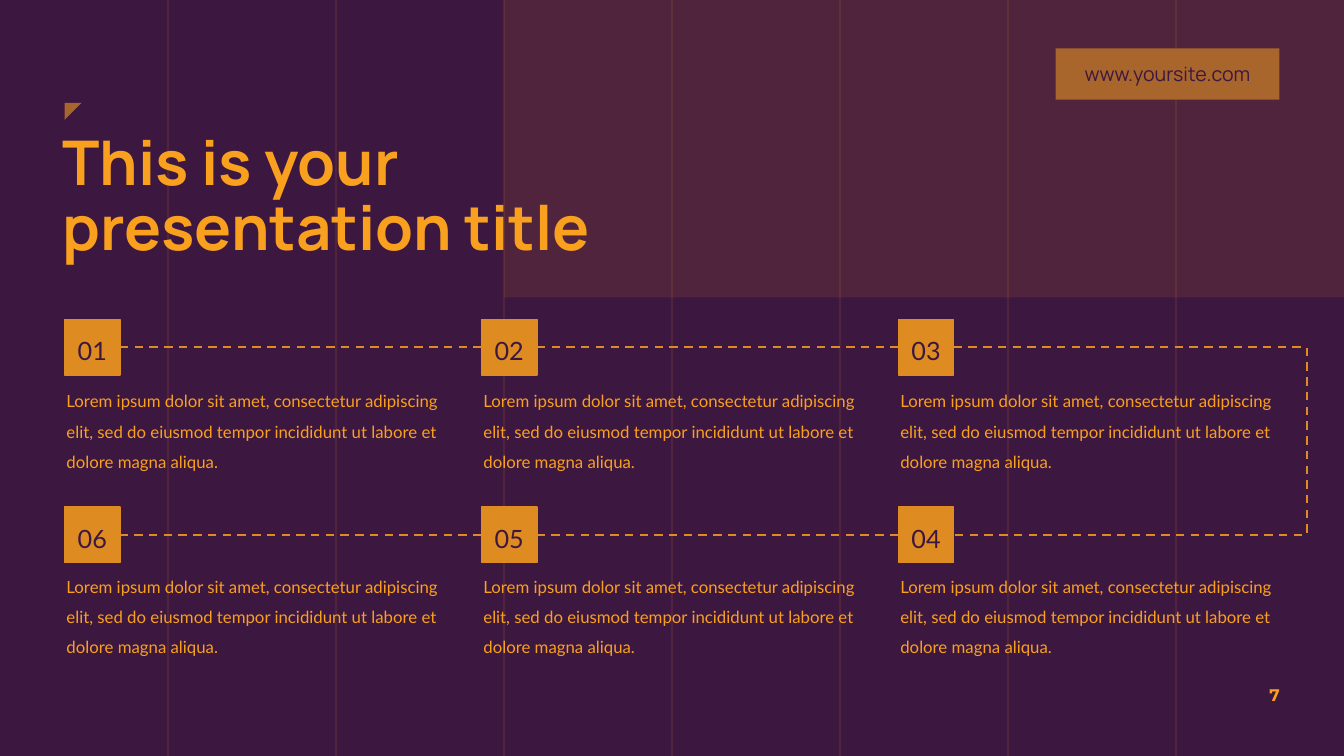
from lxml.etree import SubElement
from pptx import Presentation
from pptx.dml.color import RGBColor
from pptx.enum.dml import MSO_LINE
from pptx.enum.shapes import MSO_CONNECTOR, MSO_SHAPE
from pptx.enum.text import MSO_ANCHOR, MSO_AUTO_SIZE, PP_ALIGN
from pptx.oxml.ns import qn
from pptx.util import Inches, Pt

# Content
TITLE = "This is your presentation title"
SITE = "www.yoursite.com"
PAGE = "7"
LOREM = ("Lorem ipsum dolor sit amet, consectetur adipiscing elit, sed do "
         "eiusmod tempor incididunt ut labore et dolore magna aliqua.")
# Step number, column, row, description
STEPS = [
    ("01", 0, 0, LOREM), ("02", 1, 0, LOREM), ("03", 2, 0, LOREM),
    ("04", 2, 1, LOREM), ("05", 1, 1, LOREM), ("06", 0, 1, LOREM),
]

# Colours and layout
PURPLE, ORANGE, AMBER, BROWN = "3C1740", "F9A01E", "DE8C22", "A8652C"
WIDTH, HEIGHT = 13.33, 7.5
LEFT, COLUMN_PITCH = 0.64, 4.135
BADGE_TOPS, DESCRIPTION_TOPS = (3.17, 5.03), (3.78, 5.62)
BADGE = 0.55
TURN_X = 12.96
GRID_COLUMNS = 8

BODY = {"size": Pt(12), "name": "Lato"}
NUMBER = {"size": Pt(18), "name": "Lato"}
HEADING = {"size": Pt(44), "name": "Manrope", "bold": True}
LINK = {"size": Pt(14), "name": "Manrope"}
FOLIO = {"size": Pt(12), "name": "Montserrat", "bold": True}


def paint(color_format, color):
    color_format.rgb = RGBColor.from_string(color)


def fade(properties, percent):
    color = next(properties.iter(qn("a:srgbClr")))
    SubElement(color, qn("a:alpha"), val=str(percent * 1000))


def write(shape, text, font, color, align=PP_ALIGN.LEFT, spacing=1.0,
          anchor=MSO_ANCHOR.TOP, insets=(0.1, 0.05, 0.1, 0.05)):
    frame = shape.text_frame
    frame.word_wrap = True
    frame.auto_size = MSO_AUTO_SIZE.NONE
    frame.vertical_anchor = anchor
    for side, inset in zip(("left", "top", "right", "bottom"), insets):
        setattr(frame, f"margin_{side}", Inches(inset))
    frame.text = text
    paragraph = frame.paragraphs[0]
    paragraph.alignment = align
    paragraph.line_spacing = spacing
    for key, value in font.items():
        setattr(paragraph.font, key, value)
    paint(paragraph.font.color, color)


def add_block(kind, left, top, width, height, fill, outline=None):
    block = slide.shapes.add_shape(kind, *map(Inches, (left, top, width, height)))
    block.shadow.inherit = False
    block.fill.solid()
    paint(block.fill.fore_color, fill)
    if outline:
        block.line.width = Pt(1)
        paint(block.line.color, outline)
    else:
        block.line.fill.background()
    return block


def add_text(left, top, width, height, *args, **options):
    box = slide.shapes.add_textbox(*map(Inches, (left, top, width, height)))
    write(box, *args, **options)


def add_line(x1, y1, x2, y2, color):
    line = slide.shapes.add_connector(
        MSO_CONNECTOR.STRAIGHT, *map(Inches, (x1, y1, x2, y2)))
    SubElement(line._element.spPr, qn("a:effectLst"))
    line.line.width = Pt(1.5)
    paint(line.line.color, color)
    return line


deck = Presentation()
deck.slide_width, deck.slide_height = Inches(WIDTH), Inches(HEIGHT)
slide = deck.slides.add_slide(deck.slide_layouts[5])
slide.background.fill.solid()
paint(slide.background.fill.fore_color, PURPLE)

# Backdrop: tinted panel, vertical grid, corner mark
panel = add_block(MSO_SHAPE.RECTANGLE, 5, 0, WIDTH - 5, 2.95, ORANGE)
fade(panel._element.spPr, 10)
for column in range(1, GRID_COLUMNS):
    x = column * WIDTH / GRID_COLUMNS
    grid_line = add_line(x, 0, x, HEIGHT, ORANGE)
    fade(grid_line._element.spPr, 10)
corner = add_block(MSO_SHAPE.RIGHT_TRIANGLE, LEFT, 1.02, 0.17, 0.17, BROWN)
corner.rotation = 90

# Title
title = slide.shapes.title
title.left, title.top = Inches(0.52), Inches(1.27)
title.width, title.height = Inches(7.27), Inches(1.58)
write(title, TITLE, HEADING, ORANGE, spacing=0.88)

# Steps: numbered badge above its description
badges = []
for number, column, row, description in STEPS:
    x = LEFT + column * COLUMN_PITCH
    badge = add_block(MSO_SHAPE.RECTANGLE, x, BADGE_TOPS[row], BADGE, BADGE,
                      AMBER, AMBER)
    write(badge, number, NUMBER, PURPLE, align=PP_ALIGN.CENTER, spacing=1.5,
          anchor=MSO_ANCHOR.MIDDLE, insets=(0, 0, 0, 0.08))
    badges.append(badge)
    add_text(x + 0.02, DESCRIPTION_TOPS[row], 3.76, 0.87, description, BODY,
             ORANGE, spacing=1.5, insets=(0, 0, 0, 0))

# Dashed route: straight links within each row
for (_, _, row, _), (_, _, next_row, _), start, end in zip(
        STEPS, STEPS[1:], badges, badges[1:]):
    if row == next_row:
        exit_side, entry_side = (3, 1) if row == 0 else (1, 3)
        link = add_line(0, 0, 1, 1, AMBER)
        link.begin_connect(start, exit_side)
        link.end_connect(end, entry_side)
        link.line.dash_style = MSO_LINE.DASH

# Dashed turn from the upper row to the lower row
turn_start = LEFT + 2 * COLUMN_PITCH + BADGE
upper, lower = (top + BADGE / 2 for top in BADGE_TOPS)
route = slide.shapes.build_freeform(Inches(turn_start), Inches(upper))
route.add_line_segments(
    [(Inches(x), Inches(y)) for x, y in
     ((TURN_X, upper), (TURN_X, lower), (turn_start, lower))], close=False)
turn = route.convert_to_shape()
turn.shadow.inherit = False
turn.fill.background()
turn.line.width = Pt(1.5)
turn.line.dash_style = MSO_LINE.DASH
paint(turn.line.color, AMBER)

# Site label and page number
site = add_block(MSO_SHAPE.RECTANGLE, 10.47, 0.48, 2.22, 0.51, BROWN)
write(site, SITE, LINK, PURPLE, align=PP_ALIGN.CENTER, anchor=MSO_ANCHOR.MIDDLE)
add_text(12.34, 6.69, 0.45, 0.4, PAGE, FOLIO, ORANGE, align=PP_ALIGN.RIGHT,
         anchor=MSO_ANCHOR.MIDDLE)

deck.save("out.pptx")
